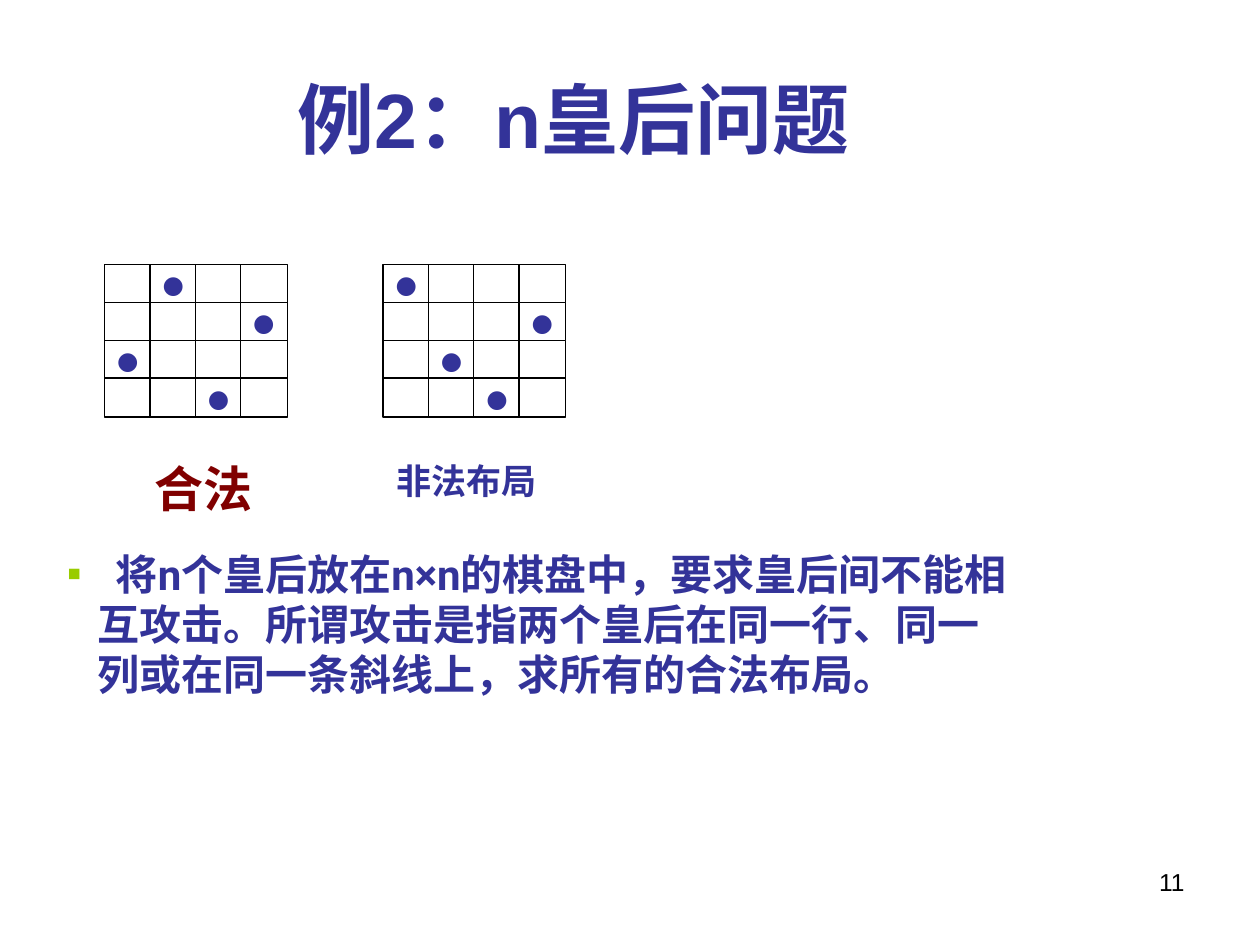
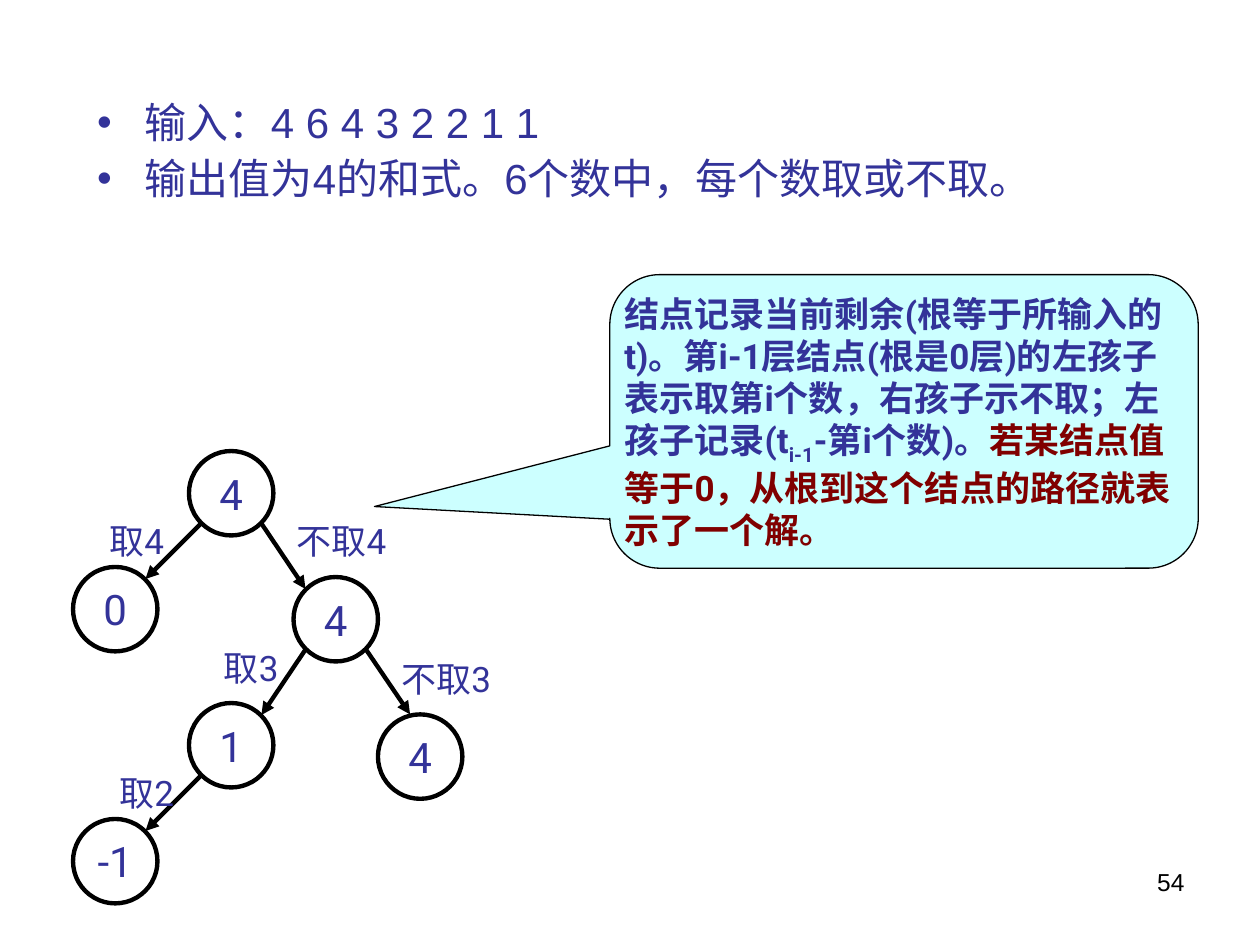
from itertools import product
from lxml.etree import SubElement
from pptx import Presentation
from pptx.dml.color import RGBColor
from pptx.enum.shapes import MSO_CONNECTOR, MSO_SHAPE
from pptx.enum.text import MSO_ANCHOR, MSO_AUTO_SIZE, PP_ALIGN
from pptx.oxml.ns import qn
from pptx.util import Inches, Pt

WIDE, HIGH = 10, 7.5
INK, RED, BLACK, WHITE, AQUA, LIME = "333399", "800000", "000000", "FFFFFF", "CCFFFF", "99CC00"
SANS, BODY = "Arial", "Roboto"
LEFT, MID, RIGHT = PP_ALIGN.LEFT, PP_ALIGN.CENTER, PP_ALIGN.RIGHT

TITLE = "例2：n皇后问题"
RULE = "\t将n个皇后放在n×n的棋盘中，要求皇后间不能相互攻击。所谓攻击是指两个皇后在同一行、同一列或在同一条斜线上，求所有的合法布局。"
SIZE, STEP, CELL = 4, (0.36, 0.3), (0.37, 0.31)
BOARDS = [
    {"left": 0.83, "queens": [1, 3, 0, 2], "name": "合法", "box": (0.75, 3.59, 1.73, 0.57), "size": 28, "ink": RED},
    {"left": 3.04, "queens": [0, 3, 1, 2], "name": "非法布局", "box": (2.95, 3.6, 1.5, 0.44), "size": 20, "ink": INK},
]

TASK = ["输入：4 6 4 3 2 2 1 1", "输出值为4的和式。6个数中，每个数取或不取。"]
NOTE = [
    ("结点记录当前剩余(根等于所输入的t)。第i-1层结点(根是0层)的左孩子表示取第i个数，右孩子示不取；左孩子记录(t", INK, 0),
    ("i-1", INK, -25000),
    ("-第i个数)。", INK, 0),
    ("若某结点值等于0，从根到这个结点的路径就表示了一个解。", RED, 0),
]
DISC, LEAN = 0.67, 0.24
NODES = [("4", 1.5, 3.58), ("0", 0.58, 4.5), ("4", 2.33, 4.58),
         ("1", 1.5, 5.58), ("-1", 0.58, 6.5), ("4", 3, 5.67)]
EDGES = [
    (0, 1, LEAN, LEAN, "取4", 0.67, 4.07),
    (0, 2, LEAN, LEAN, "不取4", 2.17, 4.07),
    (2, 3, LEAN, LEAN, "取3", 1.58, 5.08),
    (2, 5, 0.08, DISC / 2, "不取3", 3, 5.17),
    (3, 4, LEAN, LEAN, "取2", 0.75, 6.07),
]


def tint(code):
    return RGBColor.from_string(code)


def place(shape, box):
    shape.left, shape.top, shape.width, shape.height = map(Inches, box)


def style(font, size, ink=INK, face=BODY, bold=False):
    font.size, font.name, font.bold = Pt(size), face, bold
    font.color.rgb = tint(ink)


def write(shape, lines, size, ink=INK, face=BODY, bold=False, align=MID, wrap=True):
    frame = shape.text_frame
    frame.text = "\n".join(lines)
    frame.word_wrap = wrap
    frame.auto_size = MSO_AUTO_SIZE.NONE
    for para in frame.paragraphs:
        para.alignment = align
        for run in para.runs:
            style(run.font, size, ink, face, bold)
    return frame


def label(page, text, box, size, ink=INK, face=BODY, bold=False, align=MID):
    write(page.shapes.add_textbox(*map(Inches, box)), [text], size, ink, face, bold, align)


def draw(home, kind, box, fill=None, line=0.75):
    shape = home.add_shape(kind, *map(Inches, box))
    shape.shadow.inherit = False
    if fill:
        shape.fill.solid()
        shape.fill.fore_color.rgb = tint(fill)
    else:
        shape.fill.background()
    shape.line.color.rgb = tint(BLACK)
    shape.line.width = Pt(line)
    shape.text_frame.vertical_anchor = MSO_ANCHOR.MIDDLE
    return shape


def bullet(para, mark, ink, hang, tab=None):
    props = para._p.get_or_add_pPr()
    props.set("marL", str(Inches(hang)))
    props.set("indent", str(-Inches(hang)))
    SubElement(SubElement(props, qn("a:buClr")), qn("a:srgbClr"), val=ink)
    SubElement(props, qn("a:buFont"), typeface=SANS)
    SubElement(props, qn("a:buChar"), char=mark)
    if tab:
        stops = SubElement(props, qn("a:tabLst"))
        SubElement(stops, qn("a:tab"), pos=str(Inches(tab)), algn="l")


def fill_list(page, lines, box, mark, ink, hang, face, bold=False, tab=None, pitch=1.0):
    body = page.placeholders[1]
    place(body, box)
    frame = write(body, lines, 24, INK, face, bold, LEFT)
    frame.vertical_anchor = MSO_ANCHOR.TOP
    for rank, para in enumerate(frame.paragraphs):
        bullet(para, mark, ink, hang, tab)
        para.line_spacing = pitch
        para.space_before = Pt(6 if rank else 0)


def arrow(page, start, end):
    line = page.shapes.add_connector(MSO_CONNECTOR.STRAIGHT, *map(Inches, start + end))
    line.line.color.rgb = tint(BLACK)
    line.line.width = Pt(2.5)
    SubElement(line.line._get_or_add_ln(), qn("a:tailEnd"), type="triangle")
    SubElement(line._element.spPr, qn("a:effectLst"))


def start(deck, number):
    page = deck.slides.add_slide(deck.slide_layouts[1])
    label(page, number, (7.17, 6.83, 2.33, 0.52), 14, BLACK, SANS, align=RIGHT)
    return page


def queens(deck):
    page = start(deck, "11")
    title = page.shapes.title
    place(title, (1.14, 0.52, 6.82, 0.83))
    write(title, [TITLE], 44, INK, SANS, True).vertical_anchor = MSO_ANCHOR.MIDDLE
    fill_list(page, [RULE], (0.43, 4.3, 7.75, 1.3), "▪", LIME, 0.24, BODY, True, 0.39)
    for board in BOARDS:
        group = page.shapes.add_group_shape()
        for row, col in product(range(SIZE), repeat=2):
            spot = (board["left"] + col * STEP[0], 2.1 + row * STEP[1])
            cell = draw(group.shapes, MSO_SHAPE.RECTANGLE, spot + CELL, WHITE)
            if board["queens"][row] == col:
                write(cell, ["●"], 14, bold=True, wrap=False)
        label(page, board["name"], board["box"], board["size"], board["ink"], bold=True)


def tree(deck):
    page = start(deck, "54")
    page.shapes.title._element.getparent().remove(page.shapes.title._element)
    fill_list(page, TASK, (0.67, 0.76, 8.79, 0.96), "•", INK, 0.38, SANS, pitch=0.9)
    for text, left, top in NODES:
        disc = draw(page.shapes, MSO_SHAPE.OVAL, (left, top, DISC, DISC), line=2.5)
        write(disc, [text], 24, wrap=False)
    mids = [(left + DISC / 2, top + DISC / 2) for _, left, top in NODES]
    for head, child, across, up, text, left, top in EDGES:
        (x, y), (u, v) = mids[head], mids[child]
        side = 1 if u > x else -1
        arrow(page, (x + side * LEAN, y + LEAN), (u - side * across, v - up))
        label(page, text, (left, top, 1.08 if len(text) > 2 else 0.83, 0.44), 20)
    note = draw(page.shapes, MSO_SHAPE.ROUNDED_RECTANGULAR_CALLOUT, (4.84, 2.18, 4.67, 2.33), AQUA)
    for rank, value in enumerate((-0.9, 0.29, 0.17)):
        note.adjustments[rank] = value
    frame = note.text_frame
    frame.word_wrap = True
    frame.margin_left = frame.margin_right = frame.margin_top = frame.margin_bottom = 0
    para = frame.paragraphs[0]
    para.alignment = LEFT
    for text, ink, base in NOTE:
        run = para.add_run()
        run.text = text
        style(run.font, 20, ink, bold=True)
        if base:
            run._r.get_or_add_rPr().set("baseline", str(base))


def main():
    deck = Presentation()
    deck.slide_width, deck.slide_height = Inches(WIDE), Inches(HIGH)
    queens(deck)
    tree(deck)
    deck.save("out.pptx")


if __name__ == "__main__":
    main()
